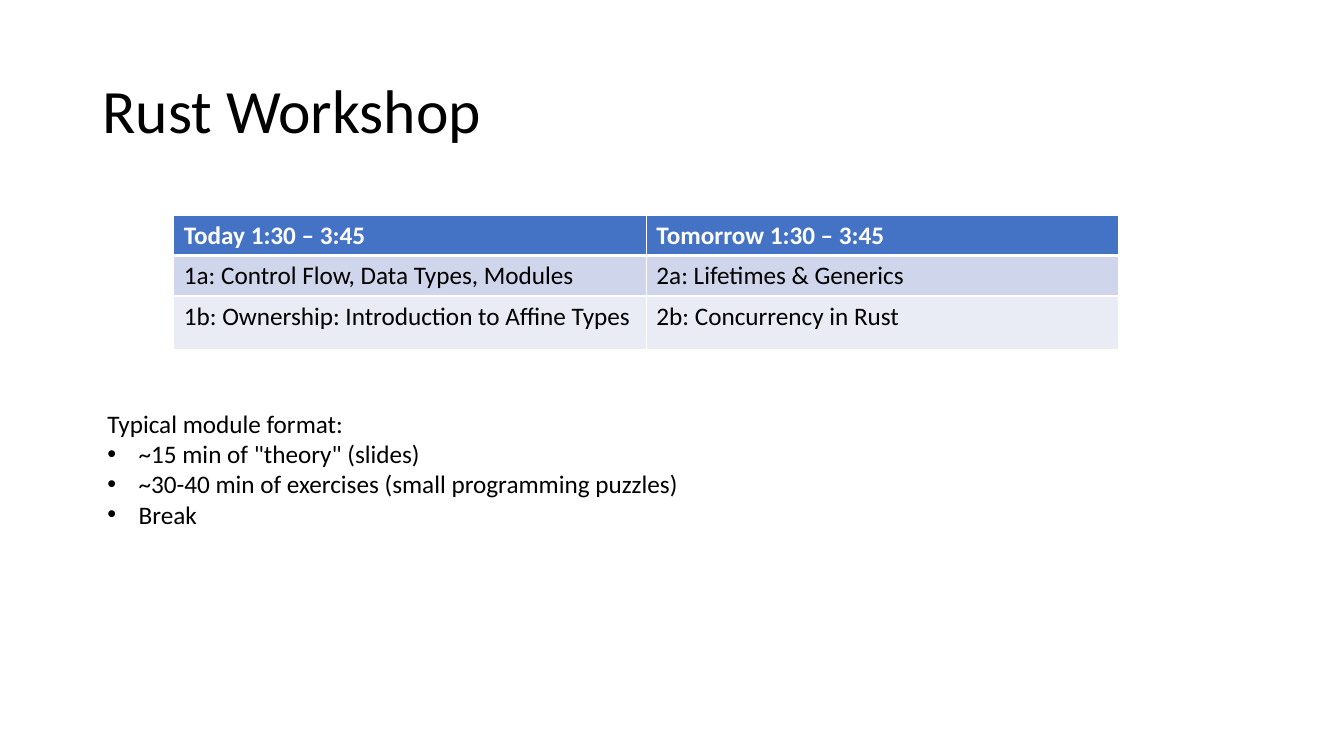
from pptx import Presentation
from pptx.dml.color import RGBColor
from pptx.enum.text import MSO_ANCHOR, MSO_AUTO_SIZE, PP_ALIGN
from pptx.oxml import parse_xml
from pptx.oxml.ns import nsdecls
from pptx.util import Cm, Pt

COLORS = {
    "text": "000000",
    "white": "FFFFFF",
    "header": "4472C4",
    "odd_row": "CFD5EA",
    "even_row": "E9EBF5",
}


def add_text(paragraph, text, size, color="text", bold=False):
    run = paragraph.add_run()
    run.text = text
    run.font.name = "Calibri"
    run.font.size = Pt(size)
    run.font.bold = bold
    run.font.color.rgb = RGBColor.from_string(COLORS[color])


def add_border(cell, side, width):
    cell._tc.get_or_add_tcPr().append(parse_xml(
        f'<a:ln{side} {nsdecls("a")} w="{Pt(width)}"><a:solidFill>'
        f'<a:srgbClr val="{COLORS["white"]}"/></a:solidFill></a:ln{side}>'
    ))


presentation = Presentation()
presentation.slide_width = Cm(33.87)
presentation.slide_height = Cm(19.05)
slide = presentation.slides.add_slide(presentation.slide_layouts[1])

title = slide.shapes.title
title.left, title.top, title.width, title.height = Cm(2.33), Cm(1.01), Cm(29.21), Cm(3.68)
title.text_frame.vertical_anchor = MSO_ANCHOR.MIDDLE
title.text_frame.auto_size = MSO_AUTO_SIZE.NONE
title_paragraph = title.text_frame.paragraphs[0]
title_paragraph.alignment = PP_ALIGN.LEFT
title_paragraph.line_spacing = 0.9
add_text(title_paragraph, "Rust Workshop", 44)

schedule = [
    ("header", ["Today 1:30 – 3:45", "Tomorrow 1:30 – 3:45"]),
    ("odd_row", ["1a: Control Flow, Data Types, Modules", "2a: Lifetimes & Generics"]),
    ("even_row", ["1b: Ownership: Introduction to Affine Types", "2b: Concurrency in Rust"]),
]
row_heights = [1.02, 1.02, 1.34]
table = slide.shapes.add_table(
    3, 2, Cm(4.38), Cm(5.42), Cm(23.82), Cm(sum(row_heights))
).table
for column in table.columns:
    column.width = Cm(11.91)
for row, height, (style, texts) in zip(table.rows, row_heights, schedule):
    row.height = Cm(height)
    is_header = style == "header"
    for cell, text in zip(row.cells, texts):
        for side in "LRT":
            add_border(cell, side, 3 if side == "T" and style == "odd_row" else 1)
        add_border(cell, "B", 3 if is_header else 1)
        cell.fill.solid()
        cell.fill.fore_color.rgb = RGBColor.from_string(COLORS[style])
        add_text(cell.text_frame.paragraphs[0], text, 18,
                 "white" if is_header else "text", is_header)

module_format = slide.placeholders[1]
module_format.left, module_format.top = Cm(2.45), Cm(10.16)
module_format.width, module_format.height = Cm(29.06), Cm(3.33)
text_frame = module_format.text_frame
text_frame.word_wrap = True
text_frame.vertical_anchor = MSO_ANCHOR.TOP
text_frame.auto_size = MSO_AUTO_SIZE.SHAPE_TO_FIT_TEXT
lines = [
    "Typical module format:",
    "~15 min of \"theory\" (slides)",
    "~30-40 min of exercises (small programming puzzles)",
    "Break",
]
for index, line in enumerate(lines):
    paragraph = text_frame.add_paragraph() if index else text_frame.paragraphs[0]
    paragraph.space_before = Pt(0)
    add_text(paragraph, line, 18)
    properties = paragraph._p.get_or_add_pPr()
    indent = Cm(0.79) if index else 0
    properties.set("marL", str(indent))
    properties.set("indent", str(-indent))
    if index:
        properties.append(parse_xml(f'<a:buFont {nsdecls("a")} typeface="Arial"/>'))
        properties.append(parse_xml(f'<a:buChar {nsdecls("a")} char="•"/>'))
    else:
        properties.append(parse_xml(f'<a:buNone {nsdecls("a")}/>'))

presentation.save("out.pptx")
